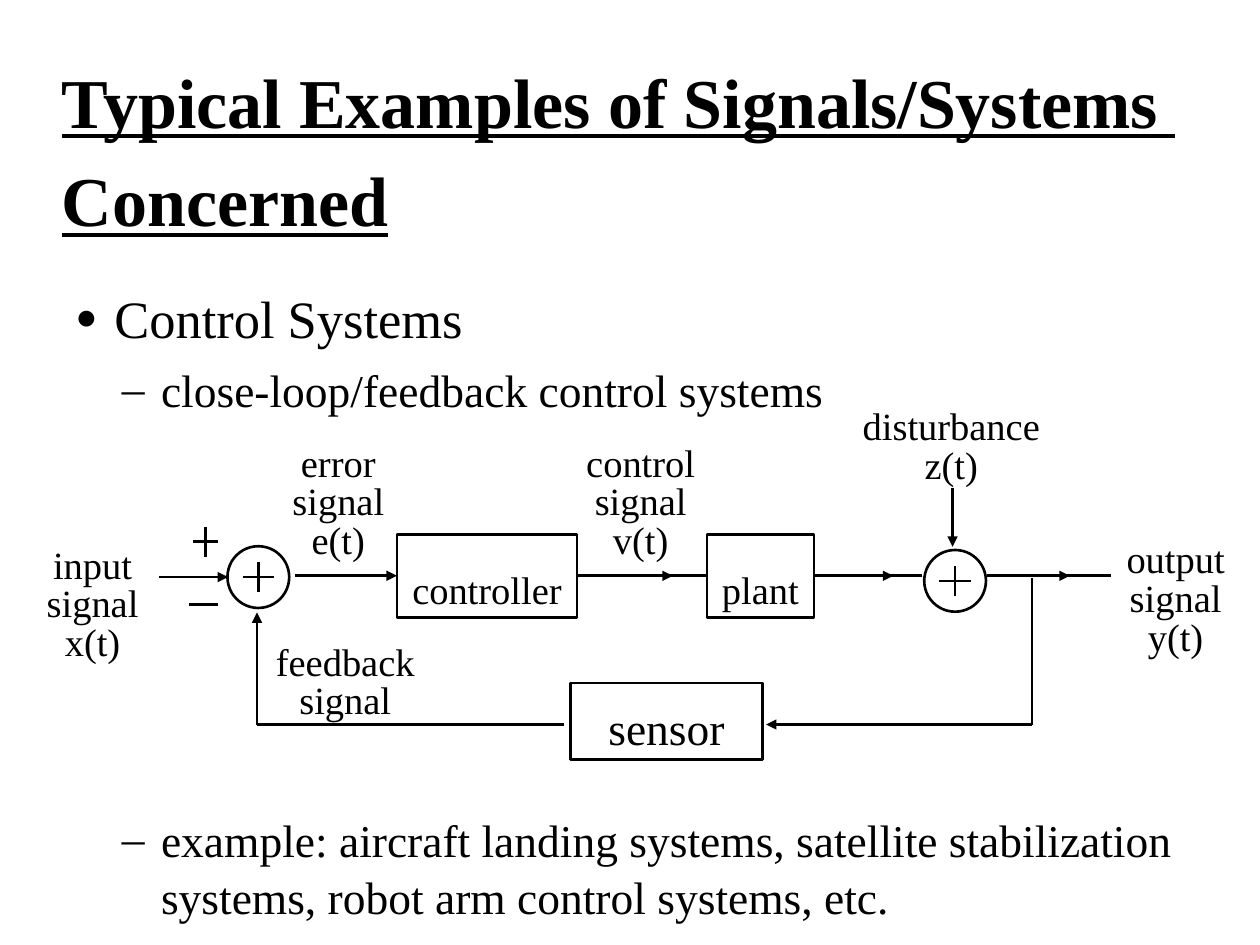
from lxml import etree
from pptx import Presentation
from pptx.dml.color import RGBColor
from pptx.enum.shapes import MSO_CONNECTOR as CONN, MSO_SHAPE as SHAPE
from pptx.enum.text import MSO_ANCHOR as ANCHOR, MSO_AUTO_SIZE as AUTO, PP_ALIGN as ALIGN
from pptx.oxml.ns import qn
from pptx.util import Inches, Pt

FONT = "Times New Roman"
BLACK = "000000"
TOP, LEFT, BOTTOM, RIGHT = range(4)
FLOW_Y = 4.57
FEEDBACK_Y = 5.75


def color(value):
    return RGBColor.from_string(value)


def add_run(p, text, size, **style):
    r = p.add_run()
    r.text = text
    r.font.name, r.font.size = FONT, Pt(size)
    r.font.color.rgb = color(BLACK)
    for name, value in style.items():
        setattr(r.font, name, value)


def set_bullet(p, char, margin, scale=100):
    pPr = p._p.get_or_add_pPr()
    pPr.set("marL", str(Inches(margin)))
    pPr.set("indent", str(Inches(-0.31)))
    etree.SubElement(pPr, qn("a:buSzPct")).set("val", str(scale * 1000))
    etree.SubElement(pPr, qn("a:buFont")).set("typeface", FONT)
    etree.SubElement(pPr, qn("a:buChar")).set("char", char)


def add_text_box(s, box):
    sp = s.shapes.add_textbox(*map(Inches, box))
    sp.text_frame.word_wrap = True
    return sp.text_frame


def add_title(s, box, lines):
    sp = s.shapes.title
    sp.left, sp.top, sp.width, sp.height = map(Inches, box)
    tf = sp.text_frame
    tf.word_wrap, tf.auto_size = True, AUTO.NONE
    tf.vertical_anchor = ANCHOR.TOP
    for i, line in enumerate(lines):
        p = tf.add_paragraph() if i else tf.paragraphs[0]
        p.alignment, p.line_spacing = ALIGN.LEFT, 1.05
        p.space_before, p.space_after = Pt(0), Pt(6)
        add_run(p, line, 40, bold=True, underline=True)


def add_bullets(s, box, items):
    """Items are (level, text) pairs."""
    tf = add_text_box(s, box)
    for i, (level, text) in enumerate(items):
        p = tf.add_paragraph() if i else tf.paragraphs[0]
        p.level = level
        p.line_spacing = 1.05 if level else 1.0
        p.space_before = Pt(6 if i else 0)
        if level:
            set_bullet(p, "–", 1.18)
        else:
            set_bullet(p, "●", 0.81, 70)
        add_run(p, text, 26 if level else 30)


def add_label(s, box, text):
    p = add_text_box(s, box).paragraphs[0]
    p.alignment, p.line_spacing = ALIGN.CENTER, 0.84
    add_run(p, text, 22)


def add_outline(s, kind, box):
    sp = s.shapes.add_shape(kind, *map(Inches, box))
    sp.shadow.inherit = False
    sp.fill.background()
    sp.line.color.rgb, sp.line.width = color(BLACK), Pt(1.5)
    return sp


def add_block(s, box, text, size=22):
    sp = add_outline(s, SHAPE.RECTANGLE, box)
    tf = sp.text_frame
    tf.word_wrap, tf.vertical_anchor = True, ANCHOR.BOTTOM
    tf.margin_bottom = Inches(0.04)
    p = tf.paragraphs[0]
    p.alignment = ALIGN.CENTER
    add_run(p, text, size)
    return sp


def add_line(s, start, end, arrow=False, begin=None, finish=None):
    """begin and finish are optional (shape, site) pairs to join."""
    c = s.shapes.add_connector(CONN.STRAIGHT, *map(Inches, (*start, *end)))
    c.line.color.rgb, c.line.width = color(BLACK), Pt(1.5)
    if arrow:
        tail = etree.SubElement(c.line._get_or_add_ln(), qn("a:tailEnd"))
        tail.set("type", "triangle")
    etree.SubElement(c._element.spPr, qn("a:effectLst"))
    if begin:
        c.begin_connect(*begin)
    if finish:
        c.end_connect(*finish)


def add_plus(s, x, y, width=0.25):
    add_line(s, (x - width / 2, y), (x + width / 2, y))
    add_line(s, (x, y + 0.12), (x, y - 0.12))


def add_summer(s, x, y, size=0.49):
    add_outline(s, SHAPE.OVAL, (x - size / 2, y - size / 2, size, size))
    add_plus(s, x, y)


def add_flow(s, x1, head, x2, begin=None, finish=None):
    """Horizontal line with its arrowhead part of the way along."""
    add_line(s, (x1, FLOW_Y), (head, FLOW_Y), True, begin=begin)
    add_line(s, (x2, FLOW_Y), (head - 0.08, FLOW_Y), begin=finish)


def add_forward_path(s):
    controller = add_block(s, (3.15, 4.24, 1.43, 0.66), "controller")
    plant = add_block(s, (5.61, 4.24, 0.85, 0.66), "plant")
    add_summer(s, 2.05, 4.58)
    add_summer(s, 7.58, 4.61)
    add_plus(s, 1.63, 4.3, 0.2)
    add_line(s, (1.5, 4.8), (1.73, 4.8))
    add_line(s, (1.26, 4.58), (1.81, 4.58), True)
    add_line(s, (2.34, FLOW_Y), (3.15, FLOW_Y), True, finish=(controller, LEFT))
    add_flow(s, 4.58, 5.34, 5.61, (controller, RIGHT), (plant, LEFT))
    add_flow(s, 6.46, 7.09, 7.32, (plant, RIGHT))
    add_flow(s, 7.83, 8.49, 8.82)
    add_line(s, (7.56, 3.87), (7.56, 4.34), True)


def add_feedback_path(s):
    add_block(s, (4.53, 5.42, 1.52, 0.61), "sensor", 26)
    add_line(s, (8.19, 4.59), (8.19, FEEDBACK_Y))
    add_line(s, (8.19, FEEDBACK_Y), (6.08, FEEDBACK_Y), True)
    add_line(s, (4.48, FEEDBACK_Y), (2.04, FEEDBACK_Y))
    add_line(s, (2.04, FEEDBACK_Y), (2.04, 4.86), True)


def add_signal_labels(s):
    for box, text in [
        ((0.15, 4.3, 1.17, 0.99), "input signal x(t)"),
        ((2.18, 3.49, 1.01, 0.99), "error signal e(t)"),
        ((4.47, 3.49, 1.23, 0.99), "control signal v(t)"),
        ((6.72, 3.2, 1.66, 0.7), "disturbance z(t)"),
        ((8.74, 4.26, 1.18, 0.99), "output signal y(t)"),
        ((2.02, 5.07, 1.44, 0.7), "feedback signal"),
    ]:
        add_label(s, box, text)


def main():
    prs = Presentation()
    prs.slide_width, prs.slide_height = Inches(10), Inches(7.5)
    s = prs.slides.add_slide(prs.slide_layouts[5])
    add_title(s, (0.39, 0.38, 9.61, 1.6),
              ["Typical Examples of Signals/Systems ", "Concerned"])
    add_bullets(s, (0, 2.22, 10, 1.1),
                [(0, "Control Systems"), (1, "close-loop/feedback control systems")])
    add_forward_path(s)
    add_feedback_path(s)
    add_signal_labels(s)
    add_bullets(s, (0, 6.37, 10, 0.98),
                [(1, "example: aircraft landing systems, satellite stabilization "
                     "systems, robot arm control systems, etc.")])
    prs.save("out.pptx")


if __name__ == "__main__":
    main()
